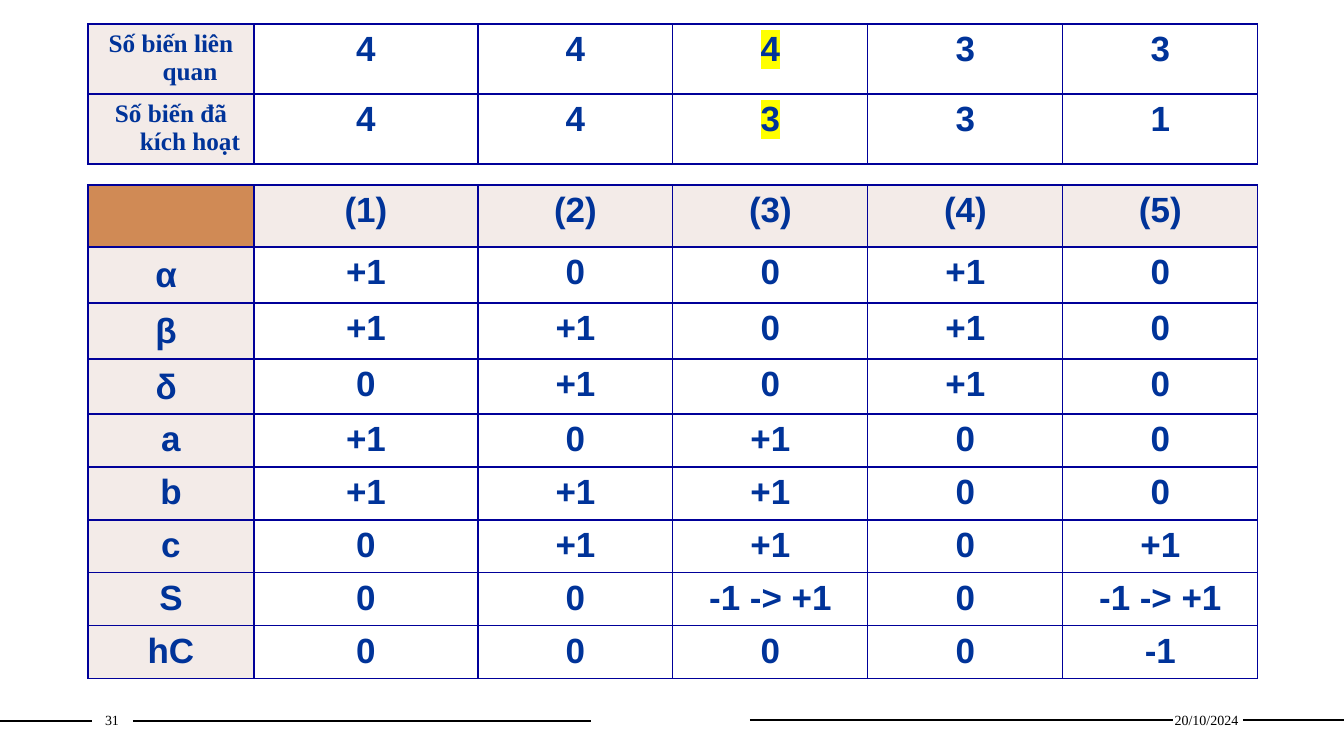
from lxml import etree
from pptx import Presentation
from pptx.dml.color import RGBColor
from pptx.enum.shapes import MSO_CONNECTOR
from pptx.enum.text import MSO_ANCHOR, PP_ALIGN
from pptx.oxml import parse_xml
from pptx.oxml.ns import nsdecls, qn
from pptx.util import Pt

PX = 914400 / 100.8
STRAIGHT = MSO_CONNECTOR.STRAIGHT
MIDDLE = MSO_ANCHOR.MIDDLE
CENTER = PP_ALIGN.CENTER
COLORS = {
    "text": "003399",
    "border": "000099",
    "label": "F3EBE8",
    "corner": "D08A55",
    "highlight": "FFFF00",
    "footer": "000000",
}
COLUMN_WIDTHS = [166, 224, 195, 195, 195, 195]
HANGING = round(38 * PX)


def px(*lengths):
    return [round(length * PX) for length in lengths]


def style(paragraph, size, face, color, bold=False):
    paragraph.alignment = CENTER
    paragraph.font.size = Pt(size)
    paragraph.font.name = face
    paragraph.font.bold = bold
    paragraph.font.color.rgb = RGBColor.from_string(COLORS[color])


prs = Presentation()
prs.slide_width, prs.slide_height = px(1344, 756)
slide = prs.slides.add_slide(prs.slide_layouts[6])

for start, end, y in [(0, 92, 721), (133, 591, 721), (750, 1173, 720), (1243, 1344, 720)]:
    rule = slide.shapes.add_connector(STRAIGHT, *px(start, y, end, y))
    rule.line.color.rgb = RGBColor.from_string(COLORS["footer"])
    rule.line.width = Pt(1)
    etree.SubElement(rule._element.spPr, qn("a:effectLst"))

for left, width, words in [(1171, 71, "20/10/2024"), (92, 40, "31")]:
    footer = slide.shapes.add_textbox(*px(left, 706, width, 27)).text_frame
    footer.word_wrap = True
    footer.vertical_anchor = MIDDLE
    footer.margin_left = footer.margin_right = 0
    footer.paragraphs[0].text = words
    style(footer.paragraphs[0], 10, "Times New Roman", "footer")

effects = [
    ["", "(1)", "(2)", "(3)", "(4)", "(5)"],
    ["α ", "+1", "0", "0", "+1", "0"],
    ["β ", "+1", "+1", "0", "+1", "0"],
    ["δ ", "0", "+1", "0", "+1", "0"],
    ["a", "+1", "0", "+1", "0", "0"],
    ["b", "+1", "+1", "+1", "0", "0"],
    ["c", "0", "+1", "+1", "0", "+1"],
    ["S", "0", "0", "-1 -> +1", "0", "-1 -> +1"],
    ["hC", "0", "0", "0", "0", "-1"],
]
variable_counts = [
    ["Số biến liên quan", "4", "4", "4", "3", "3"],
    ["Số biến đã kích hoạt", "4", "4", "3", "3", "1"],
]
tables = [
    (185, effects, [62, 56, 56, 55] + [53] * 5),
    (24, variable_counts, [70, 70]),
]

for top, rows, heights in tables:
    is_counts = rows is variable_counts
    frame = slide.shapes.add_table(
        len(rows), len(COLUMN_WIDTHS), *px(88, top, sum(COLUMN_WIDTHS), sum(heights)))
    table = frame.table
    table.first_row = table.horz_banding = False
    for column, width in zip(table.columns, px(*COLUMN_WIDTHS)):
        column.width = width
    for row, height in zip(table.rows, px(*heights)):
        row.height = height

    for r, row in enumerate(rows):
        for c, words in enumerate(row):
            cell = table.cell(r, c)
            is_greek = words in ("α ", "β ", "δ ")
            cell.margin_left, cell.margin_right = px(12, 12)
            cell.margin_top, cell.margin_bottom = px(9 if is_greek else 6, 3)
            for side in ("lnL", "lnR", "lnT", "lnB"):
                cell._tc.get_or_add_tcPr().append(parse_xml(
                    f'<a:{side} {nsdecls("a")} w="12700"><a:solidFill>'
                    f'<a:srgbClr val="{COLORS["border"]}"/></a:solidFill></a:{side}>'))

            is_header = c == 0 or (r == 0 and not is_counts)
            if is_header:
                cell.fill.solid()
                shade = "label" if words else "corner"
                cell.fill.fore_color.rgb = RGBColor.from_string(COLORS[shade])
            else:
                cell.fill.background()
            if not words:
                continue

            entry = cell.text_frame.paragraphs[0]
            entry.text = words
            indents = entry._p.get_or_add_pPr()
            indents.set("marL", str(HANGING))
            indents.set("indent", str(-HANGING))
            if is_counts and c == 0:
                style(entry, 18, "Times New Roman", "text", True)
            else:
                style(entry, 25, "Arial", "text", True)
            if is_counts and c == 3:
                entry.runs[0]._r.get_or_add_rPr().append(parse_xml(
                    f'<a:highlight {nsdecls("a")}>'
                    f'<a:srgbClr val="{COLORS["highlight"]}"/></a:highlight>'))

prs.save("out.pptx")
